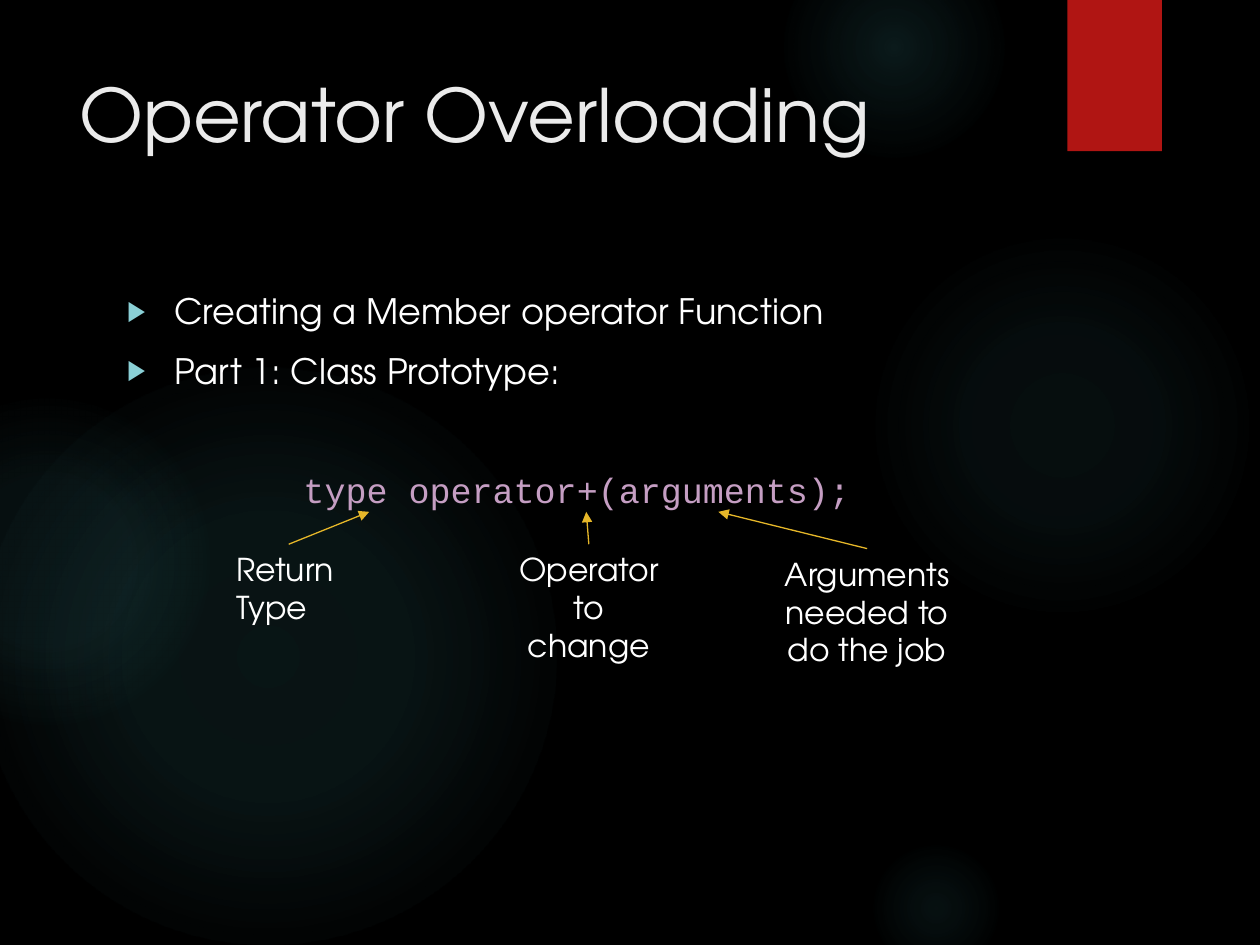
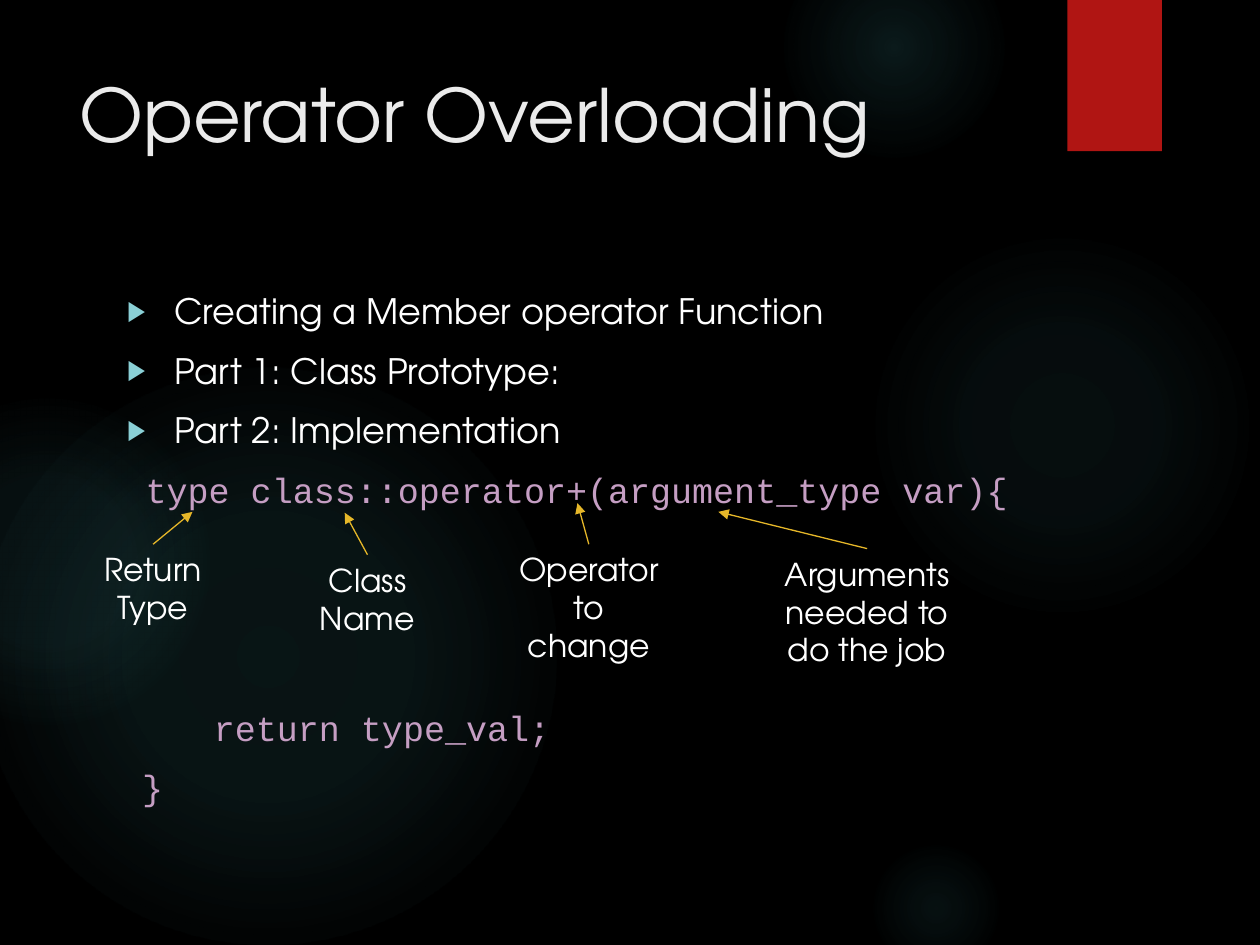
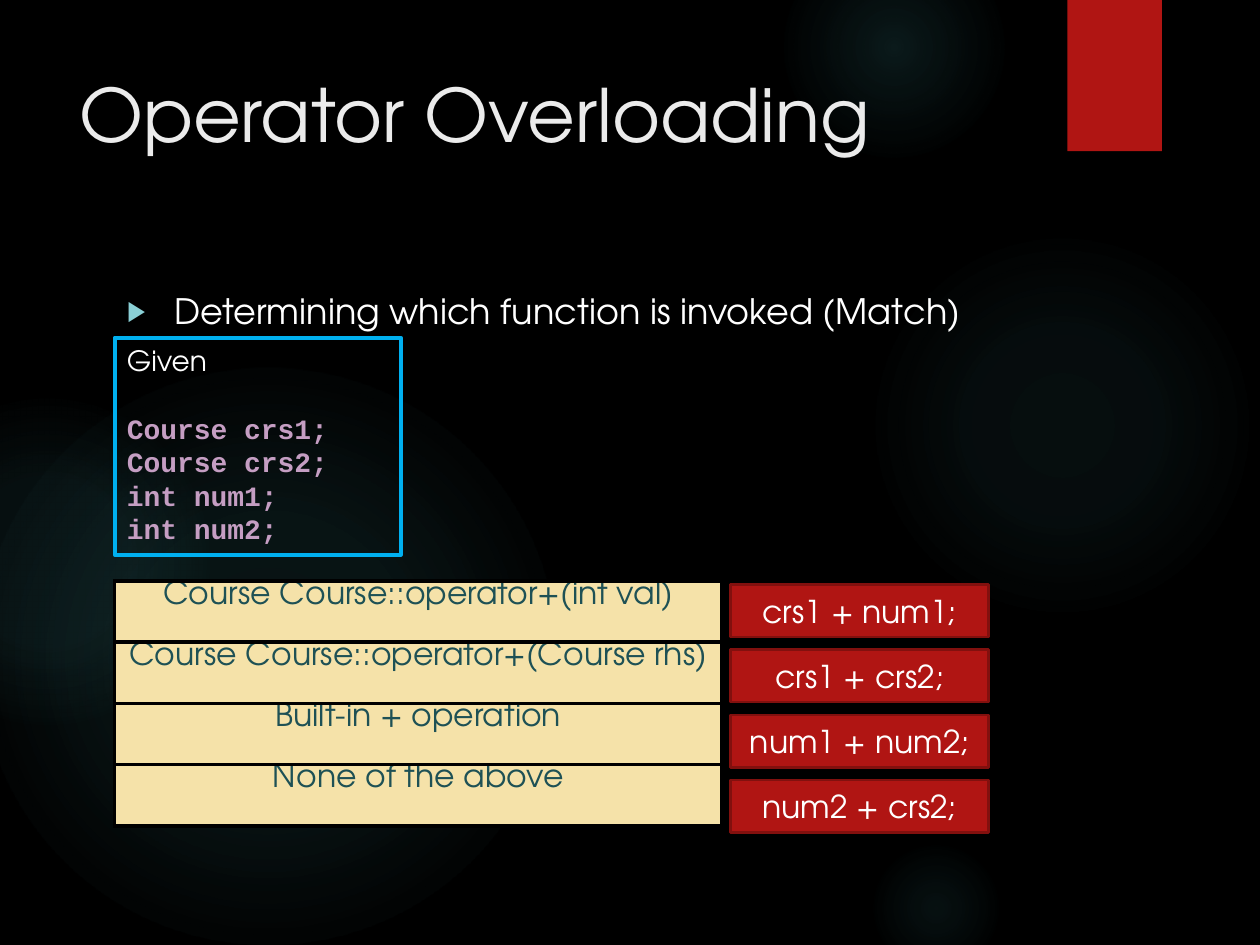
from lxml import etree
from pptx import Presentation
from pptx.dml.color import RGBColor
from pptx.enum.shapes import MSO_CONNECTOR, MSO_SHAPE
from pptx.enum.text import MSO_ANCHOR, MSO_AUTO_SIZE, PP_ALIGN
from pptx.oxml.ns import qn
from pptx.util import Pt

LEFT, CENTER = PP_ALIGN.LEFT, PP_ALIGN.CENTER
TOP, MIDDLE = MSO_ANCHOR.TOP, MSO_ANCHOR.MIDDLE
RECT, OVAL = MSO_SHAPE.RECTANGLE, MSO_SHAPE.OVAL
STRAIGHT = MSO_CONNECTOR.STRAIGHT
NO_FIT = MSO_AUTO_SIZE.NONE

SANS, MONO = "TeX Gyre Adventor", "Courier New"
COLORS = {
    "back": "000000", "glow": "50B9C1", "band": "B01513", "band_line": "82100E",
    "title": "EBEBEB", "text": "FFFFFF", "bullet": "8AD0D6", "code": "C59EC3",
    "arrow": "E6B729", "frame": "00B0F0", "cell": "F5E2A9", "cell_text": "1E5155",
}

# Shared layout, in points: left, top, width, height
TITLE_BOX = (38, 36, 556, 110)
BODY_BOX = (65.5, 162, 528.5, 330.5)
BAND_BOX = (610, 0, 54, 86.4)
BODY_SIZE, BODY_LINE, BODY_GAP, BULLET_INDENT = 20, 24, 10, 27
# Glows: left, top, diameter, then (position, opacity) stops in percent
GLOWS = [
    (496, 132, 222, [(0, 7), (36, 6), (69, 0)]),
    (448, -36, 126, [(0, 14), (36, 7), (73, 0)]),
    (496, 480, 78, [(0, 9), (36, 5), (66, 0)]),
    (-12, 210, 330, [(0, 11), (36, 10), (75, 0)]),
    (-66, 228, 186, [(0, 8), (36, 8), (72, 0)]),
]

# Content
TITLE = "Operator Overloading"
MEMBER_BULLETS = ["Creating a Member operator Function", "Part 1: Class Prototype:"]
ARGUMENTS = ("Arguments needed to do the job", (440, 313.5, 111, 73), CENTER, (410.5, 292.5))
OPERATOR_BOX = (286.5, 311, 100, 73)

# Code lines: text, alignment, indent, open lines above
# Callouts: text, box, alignment, arrow tip
SYNTAX_SLIDES = [
    {"bullets": MEMBER_BULLETS,
     "code": [("type operator+(arguments);", CENTER, 0, 1)],
     "callouts": [
         ("Return Type", (128, 311, 74, 51), LEFT, (211, 292.5)),
         ("Operator to change", OPERATOR_BOX, CENTER, (335, 292.5)),
         ARGUMENTS]},
    {"bullets": MEMBER_BULLETS + ["Part 2: Implementation"],
     "code": [("type class::operator+(argument_type var){", CENTER, 0, 0),
              ("return type_val;", LEFT, 49.5, 3),
              ("}", LEFT, 8.5, 0)],
     "callouts": [
         ("Return Type", (50.5, 311, 74, 51), CENTER, (110, 292.5)),
         ("Operator to change", OPERATOR_BOX, CENTER, (330, 287.5)),
         ARGUMENTS,
         ("Class Name", (160, 317, 100, 51), CENTER, (197, 293))]},
]
MATCH_BULLETS = ["Determining which function is invoked (Match)"]
GIVEN = ["Course crs1;", "Course crs2;", "int num1;", "int num2;"]
CHOICES = ["Course Course::operator+(int val)", "Course Course::operator+(Course rhs)",
           "Built-in + operation", "None of the above"]
CALLS = ["crs1 + num1;", "crs1 + crs2;", "num1 + num2;", "num2 + crs2;"]


def rgb(name):
    return RGBColor.from_string(COLORS[name])


def pts(box):
    return [Pt(v) for v in box]


def sub(parent, tag, **attrs):
    return etree.SubElement(parent, qn(tag), {k: str(v) for k, v in attrs.items()})


def add_color(parent, name, alpha=None):
    c = sub(parent, "a:srgbClr", val=COLORS[name])
    if alpha is not None:
        sub(c, "a:alpha", val=alpha * 1000)


def add_run(p, text, size, color, font=SANS, bold=None):
    r = p.add_run()
    r.text = text
    r.font.size, r.font.name, r.font.bold = Pt(size), font, bold
    r.font.color.rgb = rgb(color)


def next_paragraph(tf):
    return tf.add_paragraph() if tf.paragraphs[0].runs else tf.paragraphs[0]


def add_box(s, box, kind=RECT, fill=None, line=None, width=1.5):
    sp = s.shapes.add_shape(kind, *pts(box))
    sp.shadow.inherit = False
    if fill:
        sp.fill.solid()
        sp.fill.fore_color.rgb = rgb(fill)
    else:
        sp.fill.background()
    if line:
        sp.line.color.rgb = rgb(line)
        sp.line.width = Pt(width)
    else:
        sp.line.fill.background()
    return sp


def set_glow(sp, stops):
    spPr = sp.element.spPr
    grad = etree.Element(qn("a:gradFill"))
    gs_list = sub(grad, "a:gsLst")
    for pos, alpha in stops:
        add_color(sub(gs_list, "a:gs", pos=pos * 1000), "glow", alpha)
    circle = sub(grad, "a:path", path="circle")
    sub(circle, "a:fillToRect", l=50000, t=50000, r=50000, b=50000)
    spPr.replace(spPr.find(qn("a:noFill")), grad)


def set_shadow(sp):
    effects = sp.element.spPr.find(qn("a:effectLst"))
    shadow = sub(effects, "a:outerShdw", blurRad=Pt(3), dist=Pt(2), dir=90 * 60000)
    add_color(shadow, "back", 45)


def decorate_master(prs, s):
    """Draw the backdrop on a slide, then move it behind everything on the master."""
    prs.slide_master.background.fill.solid()
    prs.slide_master.background.fill.fore_color.rgb = rgb("back")
    parts = []
    for left, top, size, stops in GLOWS:
        sp = add_box(s, (left, top, size, size), OVAL)
        set_glow(sp, stops)
        parts.append(sp)
    band = add_box(s, BAND_BOX, fill="band")
    set_shadow(band)
    parts.append(band)
    for i, sp in enumerate(parts):
        prs.slide_master.shapes.element.insert(2 + i, sp.element)


def add_bullet(tf, text):
    p = next_paragraph(tf)
    p.alignment = LEFT
    p.space_before = Pt(BODY_GAP)
    pPr = p._p.get_or_add_pPr()
    pPr.set("marL", str(Pt(BULLET_INDENT)))
    pPr.set("indent", str(-Pt(BULLET_INDENT)))
    add_color(sub(pPr, "a:buClr"), "bullet")
    sub(pPr, "a:buSzPct", val=80000)
    sub(pPr, "a:buChar", char="▶")
    add_run(p, text, BODY_SIZE, "text")


def add_code(tf, text, align, indent, open_lines):
    p = next_paragraph(tf)
    p.alignment = align
    p.line_spacing = Pt(BODY_LINE)
    p.space_before = Pt(BODY_GAP + open_lines * (BODY_LINE + BODY_GAP))
    pPr = p._p.get_or_add_pPr()
    pPr.set("marL", str(Pt(indent)))
    pPr.set("indent", "0")
    sub(pPr, "a:buNone")
    add_run(p, text, BODY_SIZE, "code", MONO)


def add_slide(prs, layout, bullets):
    s = prs.slides.add_slide(layout)
    p = s.shapes.title.text_frame.paragraphs[0]
    p.alignment = LEFT
    add_run(p, TITLE, 42, "title")
    tf = s.placeholders[1].text_frame
    tf.auto_size = NO_FIT
    for text in bullets:
        add_bullet(tf, text)
    return s, tf


def add_callout(s, text, box, align, tip):
    left, top, width, _ = box
    tf = s.shapes.add_textbox(*pts(box)).text_frame
    tf.word_wrap = True
    tf.paragraphs[0].alignment = align
    add_run(tf.paragraphs[0], text, 18, "text")
    # The arrow starts at the top centre of its label
    arrow = s.shapes.add_connector(STRAIGHT, *pts((left + width / 2, top, *tip)))
    arrow.line.color.rgb = rgb("arrow")
    arrow.line.width = Pt(0.75)
    sub(arrow.line._get_or_add_ln(), "a:tailEnd", type="triangle")
    sub(arrow.element.spPr, "a:effectLst")


def add_choices(s, left, top, width, row_height):
    frame = s.shapes.add_table(len(CHOICES), 1, *pts((left, top, width, row_height * len(CHOICES))))
    table = frame.table
    table.first_row = table.horz_banding = False
    for i, text in enumerate(CHOICES):
        cell = table.cell(i, 0)
        cell.margin_top = cell.margin_bottom = 0
        p = cell.text_frame.paragraphs[0]
        p.alignment = CENTER
        add_run(p, text, 18, "cell_text")
        tcPr = cell._tc.get_or_add_tcPr()
        for side in ("a:lnL", "a:lnR", "a:lnT", "a:lnB"):
            add_color(sub(sub(tcPr, side, w=Pt(2.25)), "a:solidFill"), "back")
        cell.fill.solid()
        cell.fill.fore_color.rgb = rgb("cell")


def add_given(s, box):
    tf = add_box(s, box, line="frame", width=2.25).text_frame
    tf.word_wrap, tf.vertical_anchor = True, TOP
    tf.paragraphs[0].alignment = LEFT
    add_run(tf.paragraphs[0], "Given", 16, "text")
    for i, text in enumerate(GIVEN):
        p = tf.add_paragraph()
        p.alignment = LEFT
        p.line_spacing = Pt(19.2)
        p.space_before = Pt(0 if i else 19.2)
        add_run(p, text, 16, "code", MONO, True)


def add_calls(s, left, top, width, height, pitch):
    for i, text in enumerate(CALLS):
        box = (left, top + i * pitch, width, height)
        tf = add_box(s, box, fill="band", line="band_line").text_frame
        tf.word_wrap, tf.vertical_anchor = True, MIDDLE
        tf.paragraphs[0].alignment = CENTER
        add_run(tf.paragraphs[0], text, 18, "text")


prs = Presentation()
prs.slide_width, prs.slide_height = Pt(720), Pt(540)

# Title and body places, shared through the layout
layout = prs.slide_layouts[1]
for ph, box in zip(layout.placeholders, (TITLE_BOX, BODY_BOX)):
    ph.left, ph.top, ph.width, ph.height = pts(box)
    ph.text_frame.vertical_anchor = TOP

# Syntax slides
for content in SYNTAX_SLIDES:
    s, tf = add_slide(prs, layout, content["bullets"])
    for line in content["code"]:
        add_code(tf, *line)
    for callout in content["callouts"]:
        add_callout(s, *callout)

# Matching slide
s, tf = add_slide(prs, layout, MATCH_BULLETS)
add_choices(s, 65.5, 332, 347, 35)
add_given(s, (65.5, 193, 163.5, 124))
add_calls(s, 417.5, 334, 147.5, 30, 37.25)

decorate_master(prs, s)
prs.save("out.pptx")
